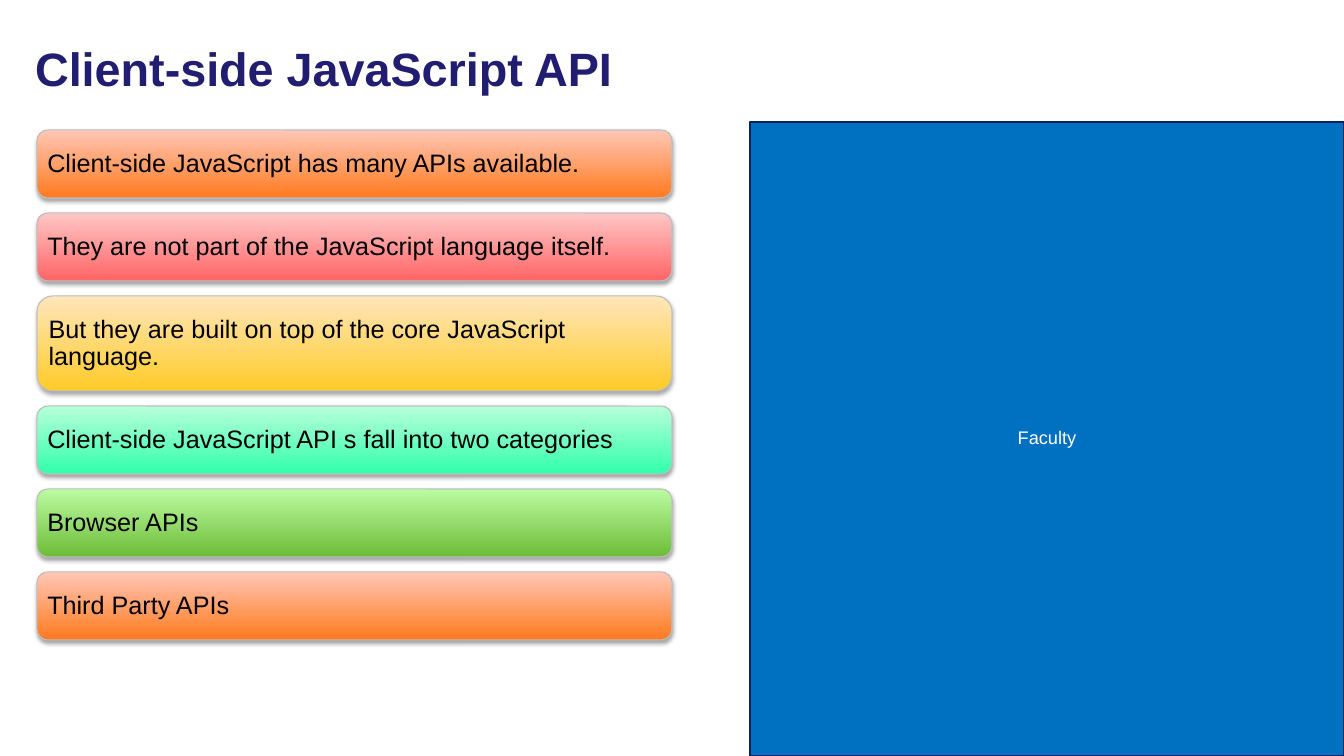
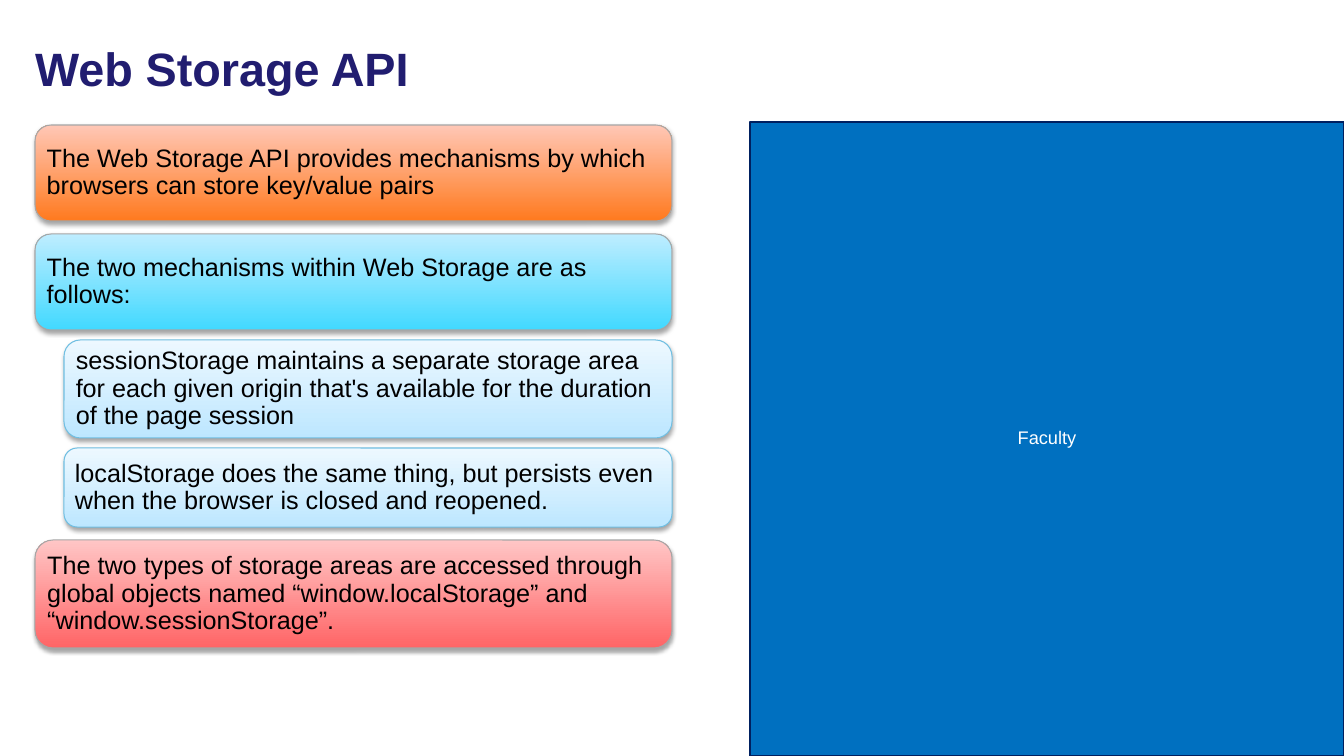
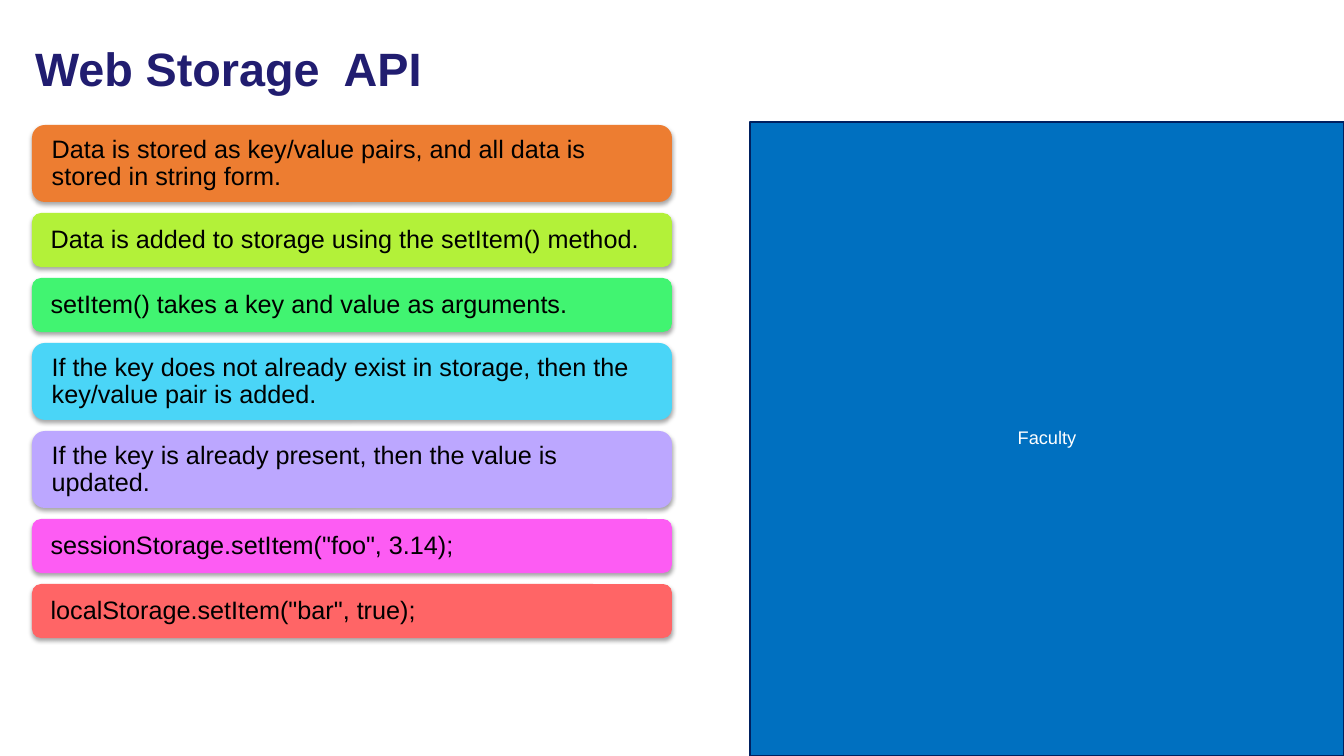
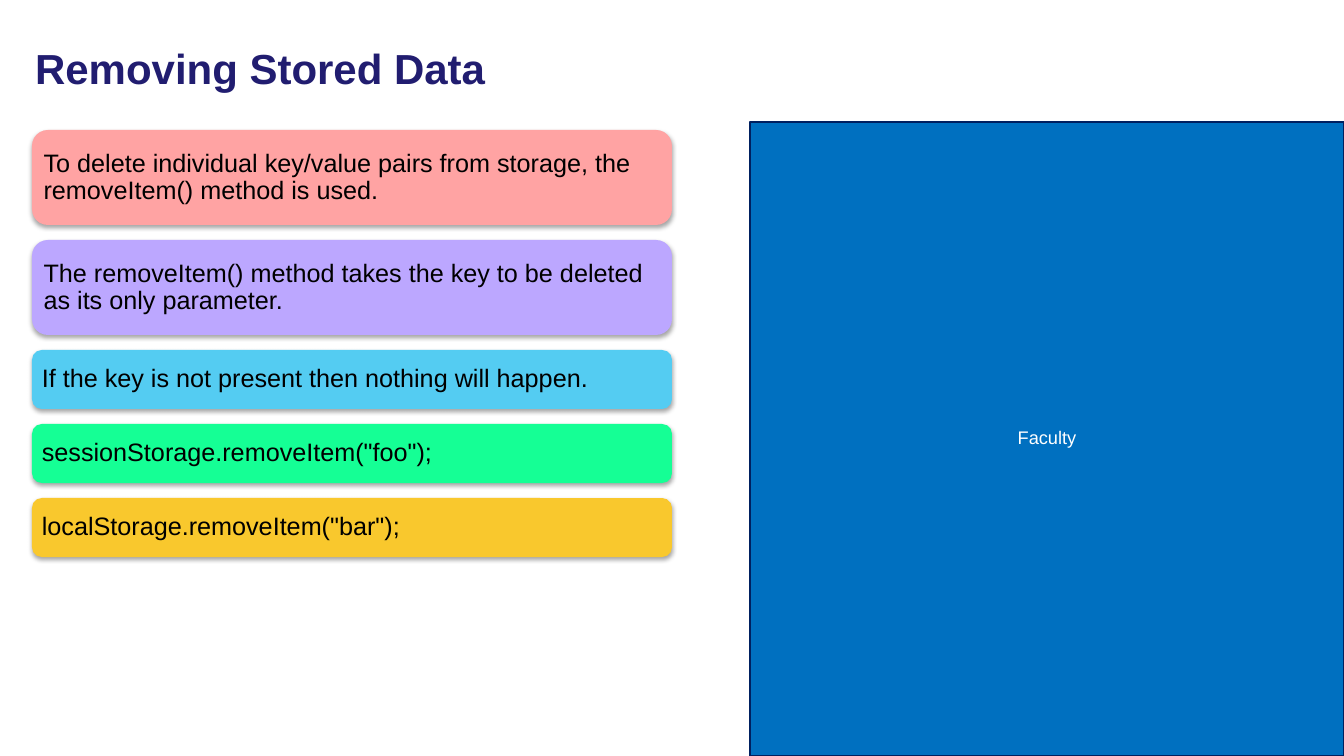
from dataclasses import dataclass

from lxml import etree
from pptx import Presentation
from pptx import util as u
from pptx.dml.color import RGBColor
from pptx.enum import shapes, text
from pptx.oxml.ns import qn

SLIDE_W, SLIDE_H = 1344, 756
SCALE = u.Inches(13.33333) / SLIDE_W


def px(length):
    return u.Emu(round(length * SCALE))


@dataclass(frozen=True)
class Theme:
    font: str = "Arial"
    title_size: float = 33.4
    small_title_size: float = 30
    card_size: float = 18
    panel_size: float = 13
    line_spacing: float = 0.9
    title: str = "211D70"
    ink: str = "000000"
    white: str = "FFFFFF"
    panel: str = "0070C0"
    panel_edge: str = "002060"
    light_edge: str = "BFBFBF"
    grey_edge: str = "A6A6A6"
    sky_edge: str = "70BFE2"
    # Gradients run from the bottom colour to the top colour
    orange_fade: tuple = ("FF7A1F", "FFC7B6")
    red_fade: tuple = ("FF6566", "FFC6C6")
    yellow_fade: tuple = ("FFCB27", "FFE6BB")
    mint_fade: tuple = ("31FFAB", "B8FFD9")
    green_fade: tuple = ("6DBC38", "BBFCA0")
    cyan_fade: tuple = ("42D9FF", "BEEDFF")
    sky_fade: tuple = ("BDE7FF", "EDF8FF")
    orange: str = "ED7D31"
    lime: str = "B3F139"
    green: str = "41F471"
    cyan: str = "4AD5F7"
    violet: str = "BCA7FF"
    magenta: str = "FD5CF3"
    red: str = "FF6566"
    pink: str = "FFA3A3"
    blue: str = "54CCF2"
    mint: str = "15FF95"
    yellow: str = "F9C82D"


T = Theme()


@dataclass
class Card:
    words: str
    fill: object
    height: int
    edge: str = ""
    nested: bool = False


@dataclass
class Lesson:
    title: str
    box: tuple  # left, top, width of the card column
    gap: int
    cards: list
    title_size: float = T.title_size
    inset: int = 7


def rgb(code):
    return RGBColor.from_string(code)


def write(frame, words, size, colour, bold=False, align=text.PP_ALIGN.LEFT):
    frame.word_wrap = True
    frame.auto_size = text.MSO_AUTO_SIZE.NONE
    frame.vertical_anchor = text.MSO_ANCHOR.MIDDLE
    frame.text = words
    paragraph = frame.paragraphs[0]
    paragraph.alignment = align
    paragraph.line_spacing = T.line_spacing
    font = paragraph.runs[0].font
    font.name, font.size, font.bold = T.font, u.Pt(size), bold
    font.color.rgb = rgb(colour)


def paint(shape, fill, edge, edge_width=0.75):
    """Fill with one colour or a vertical fade, and outline if asked."""
    if isinstance(fill, tuple):
        shape.fill.gradient()
        shape.fill.gradient_angle = 90
        for stop, colour in zip(shape.fill.gradient_stops, fill):
            stop.color.rgb = rgb(colour)
    else:
        shape.fill.solid()
        shape.fill.fore_color.rgb = rgb(fill)
    if edge:
        shape.line.color.rgb = rgb(edge)
        shape.line.width = u.Pt(edge_width)
    else:
        shape.line.fill.background()
    shape.shadow.inherit = False


def drop_shadow(shape):
    effects = shape.element.spPr.find(qn("a:effectLst"))
    shadow = etree.SubElement(
        effects, qn("a:outerShdw"), blurRad=str(u.Pt(3.1)), dist=str(u.Pt(1.8)),
        dir="5400000", algn="ctr", rotWithShape="0")
    colour = etree.SubElement(shadow, qn("a:srgbClr"), val=T.ink)
    etree.SubElement(colour, qn("a:alpha"), val="35000")


def add_box(slide, kind, left, top, width, height):
    return slide.shapes.add_shape(kind, px(left), px(top), px(width), px(height))


# Shared parts
def add_title(slide, words, size):
    title = slide.shapes.title
    title.left, title.top = px(25), px(25)
    title.width, title.height = px(1190), px(92)
    write(title.text_frame, words, size, T.title, bold=True)


def add_faculty_panel(slide, left, top):
    panel = add_box(slide, shapes.MSO_SHAPE.RECTANGLE,
                    left, top, SLIDE_W - left, SLIDE_H - top)
    paint(panel, T.panel, T.panel_edge, 2)
    write(panel.text_frame, "Faculty", T.panel_size, T.white,
          align=text.PP_ALIGN.CENTER)
    return panel


# Column of cards; nested cards are indented and sit closer
def add_cards(slide, box, cards, gap, inset, indent=29, nested_gap=10):
    left, top, width = box
    for index, item in enumerate(cards):
        if index:
            top += nested_gap if item.nested else gap
        shift = indent if item.nested else 0
        card = add_box(slide, shapes.MSO_SHAPE.ROUNDED_RECTANGLE,
                       left + shift, top, width - shift, item.height)
        paint(card, item.fill, item.edge)
        drop_shadow(card)
        frame = card.text_frame
        frame.margin_left = px(inset)
        frame.margin_right = frame.margin_top = frame.margin_bottom = px(7)
        write(frame, item.words, T.card_size, T.ink)
        top += item.height


LESSONS = [
    Lesson("Client-side JavaScript API", (37, 130, 635), 15, [
        Card("Client-side JavaScript has many APIs available.",
             T.orange_fade, 68, T.light_edge),
        Card("They are not part of the JavaScript language itself.",
             T.red_fade, 68, T.light_edge),
        Card("But they are built on top of the core JavaScript language.",
             T.yellow_fade, 95, T.light_edge),
        Card("Client-side JavaScript API s fall into two categories",
             T.mint_fade, 68, T.light_edge),
        Card("Browser APIs", T.green_fade, 68, T.light_edge),
        Card("Third Party APIs", T.orange_fade, 68, T.light_edge),
    ]),
    Lesson("Web Storage API", (35, 125, 637), 13, [
        Card("The Web Storage API provides mechanisms by which browsers can "
             "store key/value pairs", T.orange_fade, 96, T.grey_edge),
        Card("The two mechanisms within Web Storage are as follows:",
             T.cyan_fade, 96, T.grey_edge),
        Card("sessionStorage maintains a separate storage area for each given "
             "origin that's available for the duration of the page session",
             T.sky_fade, 98, T.sky_edge, nested=True),
        Card("localStorage does the same thing, but persists even when the "
             "browser is closed and reopened.",
             T.sky_fade, 79, T.sky_edge, nested=True),
        Card("The two types of storage areas are accessed through global "
             "objects named “window.localStorage” and “window.sessionStorage”.",
             T.red_fade, 108, T.grey_edge),
    ]),
    Lesson("Web Storage  API", (32, 125, 640), 11, [
        Card("Data is stored as key/value pairs, and all data is stored in "
             "string form.", T.orange, 77),
        Card("Data is added to storage using the setItem() method.", T.lime, 54),
        Card("setItem() takes a key and value as arguments.", T.green, 54),
        Card("If the key does not already exist in storage, then the key/value "
             "pair is added.", T.cyan, 77),
        Card("If the key is already present, then the value is updated.",
             T.violet, 77),
        Card('sessionStorage.setItem("foo", 3.14);', T.magenta, 54),
        Card('localStorage.setItem("bar", true);', T.red, 54),
    ], inset=16),
    Lesson("Removing Stored Data", (32, 130, 640), 15, [
        Card("To delete individual key/value pairs from storage, the "
             "removeItem() method is used.", T.pink, 95),
        Card("The removeItem() method takes the key to be deleted as its only "
             "parameter.", T.violet, 95),
        Card("If the key is not present then nothing will happen.", T.blue, 59),
        Card('sessionStorage.removeItem("foo");', T.mint, 59),
        Card('localStorage.removeItem("bar");', T.yellow, 59),
    ], title_size=T.small_title_size),
]


def add_lesson(deck, lesson):
    slide = deck.slides.add_slide(deck.slide_layouts.get_by_name("Title Only"))
    add_faculty_panel(slide, 750, 122)
    add_title(slide, lesson.title, lesson.title_size)
    add_cards(slide, lesson.box, lesson.cards, lesson.gap, lesson.inset)


def main():
    deck = Presentation()
    deck.slide_width, deck.slide_height = px(SLIDE_W), px(SLIDE_H)
    for lesson in LESSONS:
        add_lesson(deck, lesson)
    deck.save("out.pptx")


if __name__ == "__main__":
    main()
